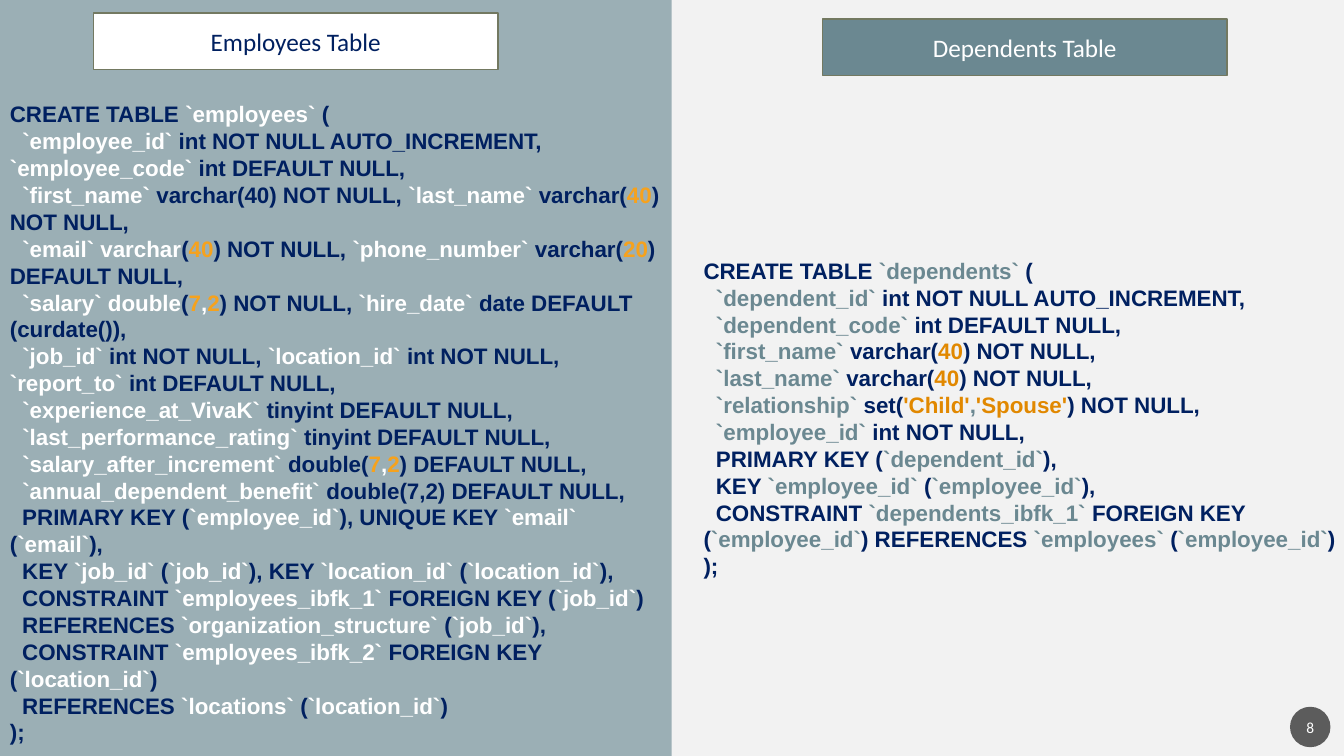
import pptx
import pptx.util
import pptx.dml.color
import pptx.enum.shapes
import pptx.enum.text
import pptx.oxml.ns
from lxml import etree
from pptx.util import Cm

COLOURS = {
    "background": "F2F2F2", "panel": "9BAFB5", "navy": "002060", "white": "FFFFFF",
    "teal": "6B8891", "border": "737961", "amber": "F6A21D", "orange": "E18800",
    "badge": "1D1D1D",
}

# In the code lines, | separates pieces; @ starts a name and # starts a literal
EMPLOYEES_SQL = [
    "CREATE TABLE |@`employees` |(",
    "  |@`employee_id` |int NOT NULL AUTO_INCREMENT, |@`employee_code` |int DEFAULT NULL,",
    "  |@`first_name` |varchar(40) NOT NULL, |@`last_name` |varchar(|#40|) NOT NULL,",
    "  |@`email` varchar|(|#40|) NOT NULL, |@`phone_number` |varchar(|#20|) DEFAULT NULL,",
    "  |@`salary` double|(|#7|@,|#2|) NOT NULL, |@`hire_date` |date DEFAULT (curdate()),",
    "  |@`job_id` |int NOT NULL, |@`location_id` |int NOT NULL, |@`report_to` |int DEFAULT NULL,",
    "  |@`experience_at_VivaK` |tinyint DEFAULT NULL,",
    "  |@`last_performance_rating` |tinyint DEFAULT NULL,",
    "  |@`salary_after_increment` |double(|#7|@,|#2|) DEFAULT NULL,",
    "  |@`annual_dependent_benefit` |double(7,2) DEFAULT NULL,",
    "  PRIMARY KEY (|@`employee_id`|), UNIQUE KEY |@`email`| (|@`email`|),",
    "  KEY |@`job_id` |(|@`job_id`|), KEY |@`location_id`| (|@`location_id`|),",
    "  CONSTRAINT |@`employees_ibfk_1`| FOREIGN KEY (|@`job_id`|)",
    "  REFERENCES |@`organization_structure`| (|@`job_id`|),",
    "  CONSTRAINT |@`employees_ibfk_2`| FOREIGN KEY (|@`location_id`|)",
    "  REFERENCES |@`locations`| (|@`location_id`|)",
    ");",
]

DEPENDENTS_SQL = [
    "CREATE TABLE |@`dependents`| (",
    "  |@`dependent_id`| int NOT NULL AUTO_INCREMENT,",
    "  |@`dependent_code` |int DEFAULT NULL,",
    "  |@`first_name` |varchar(|#40|) NOT NULL,",
    "  |@`last_name` |varchar(|#40|) NOT NULL,",
    "  |@`relationship` |set(|#'Child'|@,|#'Spouse'|) NOT NULL,",
    "  |@`employee_id`| int NOT NULL,",
    "  PRIMARY KEY (|@`dependent_id`|),",
    "  KEY |@`employee_id`| (|@`employee_id`|),",
    "  CONSTRAINT |@`dependents_ibfk_1`| FOREIGN KEY (|@`employee_id`|) REFERENCES "
    "|@`employees`| (|@`employee_id`|)",
    ");",
]


def colour(name):
    return pptx.dml.color.RGBColor.from_string(COLOURS[name])


def style_label(shape, text, size, fill, text_colour):
    """Give a shape a solid fill and one centred line of text."""
    shape.fill.solid()
    shape.fill.fore_color.rgb = colour(fill)
    frame = shape.text_frame
    frame.text = text
    frame.auto_size = pptx.enum.text.MSO_AUTO_SIZE.NONE
    frame.vertical_anchor = pptx.enum.text.MSO_ANCHOR.MIDDLE
    paragraph = frame.paragraphs[0]
    paragraph.alignment = pptx.enum.text.PP_ALIGN.CENTER
    paragraph.font.name = "Calibri"
    paragraph.font.size = pptx.util.Pt(size)
    paragraph.font.color.rgb = colour(text_colour)


presentation = pptx.Presentation()
presentation.slide_width, presentation.slide_height = Cm(33.87), Cm(19.05)
slide = presentation.slides.add_slide(presentation.slide_layouts[5])
slide.background.fill.solid()
slide.background.fill.fore_color.rgb = colour("background")
shapes = slide.shapes

# Left panel, placed behind the title
panel = shapes.add_shape(pptx.enum.shapes.MSO_SHAPE.RECTANGLE, 0, 0, Cm(16.93), Cm(19.05))
panel.shadow.inherit = False
panel.fill.solid()
panel.fill.fore_color.rgb = colour("panel")
panel.line.fill.background()
shapes.title.element.addprevious(panel.element)

# Headings
employees_heading = shapes.title
dependents_heading = shapes.add_shape(pptx.enum.shapes.MSO_SHAPE.RECTANGLE, 0, 0, 0, 0)
dependents_heading.shadow.inherit = False
for heading, text, left, top, fill, text_colour in (
    (employees_heading, "Employees Table", 2.36, 0.33, "white", "navy"),
    (dependents_heading, "Dependents Table", 20.73, 0.48, "teal", "white"),
):
    heading.left, heading.top = Cm(left), Cm(top)
    heading.width, heading.height = Cm(10.19), Cm(1.42)
    style_label(heading, text, 18, fill, text_colour)
    heading.line.color.rgb = colour("border")
    heading.line.width = pptx.util.Pt(1)

# Table definitions
for sql, left, top, width, height, name_colour, literal_colour in (
    (EMPLOYEES_SQL, 0, 2.41, 16.93, 16.64, "white", "amber"),
    (DEPENDENTS_SQL, 17.48, 6.35, 16.39, 8.6, "teal", "orange"),
):
    box = shapes.add_textbox(Cm(left), Cm(top), Cm(width), Cm(height))
    frame = box.text_frame
    frame.word_wrap = True
    frame.margin_right = 0
    piece_colours = {"@": name_colour, "#": literal_colour}
    for index, line in enumerate(sql):
        paragraph = frame.add_paragraph() if index else frame.paragraphs[0]
        paragraph.font.name = "Arial"
        paragraph.font.size = pptx.util.Pt(16)
        paragraph.font.bold = True
        for piece in line.split("|"):
            run = paragraph.add_run()
            run.text = piece.lstrip("@#")
            run.font.color.rgb = colour(piece_colours.get(piece[:1], "navy"))

# Slide number badge
badge = shapes.add_shape(
    pptx.enum.shapes.MSO_SHAPE.OVAL, Cm(32.51), Cm(17.81), Cm(1.02), Cm(1.02))
badge.shadow.inherit = False
style_label(badge, "8", 11, "badge", "white")
badge.line.fill.background()
badge.text_frame.margin_left = badge.text_frame.margin_right = Cm(0.05)
badge_colour = badge.element.spPr.find(".//" + pptx.oxml.ns.qn("a:srgbClr"))
etree.SubElement(badge_colour, pptx.oxml.ns.qn("a:alpha"), val="70000")

presentation.save("out.pptx")
